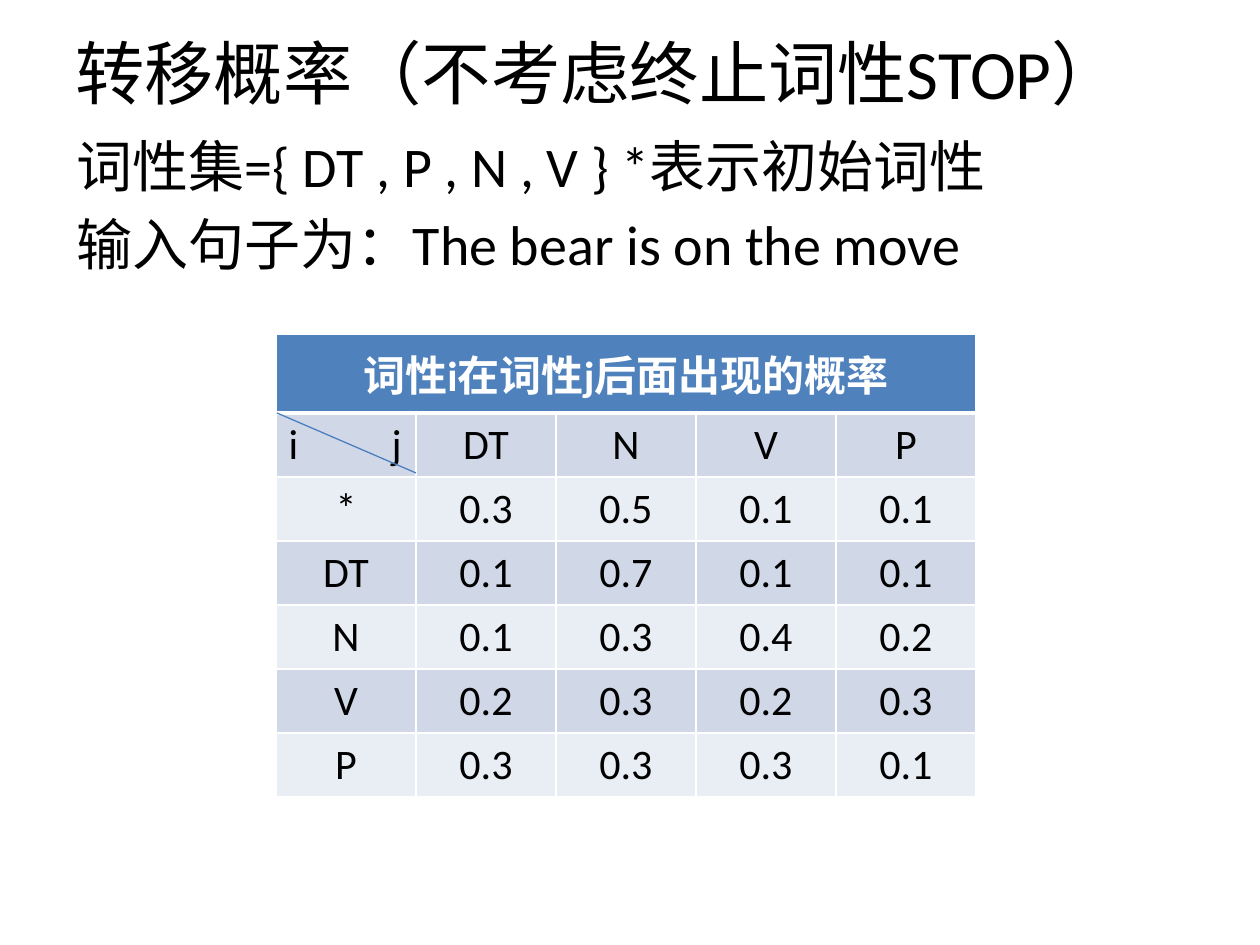
from dataclasses import dataclass

from lxml import etree
from pptx import Presentation
from pptx.dml.color import RGBColor
from pptx.enum.shapes import MSO_CONNECTOR
from pptx.enum.text import MSO_ANCHOR, PP_ALIGN
from pptx.oxml.ns import qn
from pptx.util import Pt

PX = 914400 // 126
STRAIGHT = MSO_CONNECTOR.STRAIGHT
TOP, MIDDLE = MSO_ANCHOR.TOP, MSO_ANCHOR.MIDDLE
LEFT, CENTER = PP_ALIGN.LEFT, PP_ALIGN.CENTER


@dataclass(frozen=True)
class Theme:
    font: str = "Calibri"
    black: str = "000000"
    white: str = "FFFFFF"
    header: str = "4F81BD"
    bands: tuple = ("D0D8E8", "E9EDF4")
    diagonal: str = "4B7EBC"
    title: float = 39.6
    body: float = 32
    cell: float = 24


T = Theme()

TITLE = "转移概率（不考虑终止词性STOP）"
BODY = ["词性集={ DT , P , N , V } *表示初始词性",
        "输入句子为：The bear is on the move"]
TABLE_TITLE = "词性i在词性j后面出现的概率"
ROWS = [
    ["i\tj", "DT", "N", "V", "P"],
    ["*", "0.3", "0.5", "0.1", "0.1"],
    ["DT", "0.1", "0.7", "0.1", "0.1"],
    ["N", "0.1", "0.3", "0.4", "0.2"],
    ["V", "0.2", "0.3", "0.2", "0.3"],
    ["P", "0.3", "0.3", "0.3", "0.1"],
]
TABLE_X, TABLE_Y = 276, 334
COL_W, HEADER_H, ROW_H = 140, 79, 64


def px(*values):
    return [v * PX for v in values]


def style(p, size, color=T.black, bold=False, align=LEFT):
    p.alignment = align
    f = p.font
    f.name, f.size, f.bold = T.font, Pt(size), bold
    f.color.rgb = RGBColor.from_string(color)


def add_text(s, box, lines, size, anchor=TOP, before=0):
    tf = s.shapes.add_textbox(*px(*box)).text_frame
    tf.word_wrap = True
    tf.vertical_anchor = anchor
    for i, line in enumerate(lines):
        p = tf.paragraphs[0] if i == 0 else tf.add_paragraph()
        p.text = line
        p.space_before = Pt(before)
        style(p, size)


def set_borders(cell, bottom=1):
    tcPr = cell._tc.get_or_add_tcPr()
    widths = {"a:lnL": 1, "a:lnR": 1, "a:lnT": 1, "a:lnB": bottom}
    for i, (tag, width) in enumerate(widths.items()):
        ln = etree.Element(qn(tag), w=str(Pt(width)))
        fill = etree.SubElement(ln, qn("a:solidFill"))
        etree.SubElement(fill, qn("a:srgbClr"), val=T.white)
        tcPr.insert(i, ln)


def add_right_tab(p, pos):
    tabs = etree.Element(qn("a:tabLst"))
    etree.SubElement(tabs, qn("a:tab"), pos=str(pos * PX), algn="r")
    p._p.get_or_add_pPr().insert(0, tabs)


def fill_cell(cell, text, fill, color=T.black, bold=False, align=CENTER, bottom=1):
    cell.fill.solid()
    cell.fill.fore_color.rgb = RGBColor.from_string(fill)
    cell.vertical_anchor = MIDDLE
    set_borders(cell, bottom)
    cell.text = text
    style(cell.text_frame.paragraphs[0], T.cell, color, bold, align)


def add_probability_table(s):
    n_rows, n_cols = len(ROWS) + 1, len(ROWS[0])
    box = px(TABLE_X, TABLE_Y, COL_W * n_cols, HEADER_H + ROW_H * len(ROWS))
    table = s.shapes.add_table(n_rows, n_cols, *box).table
    for col in table.columns:
        col.width = COL_W * PX
    for i, row in enumerate(table.rows):
        row.height = (ROW_H if i else HEADER_H) * PX

    # Heading across all columns
    for c in range(n_cols):
        fill_cell(table.cell(0, c), "" if c else TABLE_TITLE, T.header,
                  T.white, bold=True, bottom=3)
    table.cell(0, 0).merge(table.cell(0, n_cols - 1))

    # Banded rows
    for r, values in enumerate(ROWS):
        for c, value in enumerate(values):
            corner = r == c == 0
            fill_cell(table.cell(r + 1, c), value, T.bands[r % 2],
                      align=LEFT if corner else CENTER)
    add_right_tab(table.cell(1, 0).text_frame.paragraphs[0], 113)


def add_line(s, x1, y1, x2, y2, color, width):
    line = s.shapes.add_connector(STRAIGHT, *px(x1, y1, x2, y2))
    line.line.color.rgb = RGBColor.from_string(color)
    line.line.width = Pt(width)
    etree.SubElement(line._element.spPr, qn("a:effectLst"))


def main():
    prs = Presentation()
    prs.slide_width, prs.slide_height = px(1260, 945)
    s = prs.slides.add_slide(prs.slide_layouts[6])

    # Title and introduction
    add_text(s, (63, 38, 1134, 68), [TITLE], T.title, MIDDLE)
    add_text(s, (64, 125, 1134, 679), BODY, T.body, before=6.4)

    # Table with its split corner cell
    add_probability_table(s)
    add_line(s, 277, 413, 416, 473, T.diagonal, 0.75)

    prs.save("out.pptx")


main()
